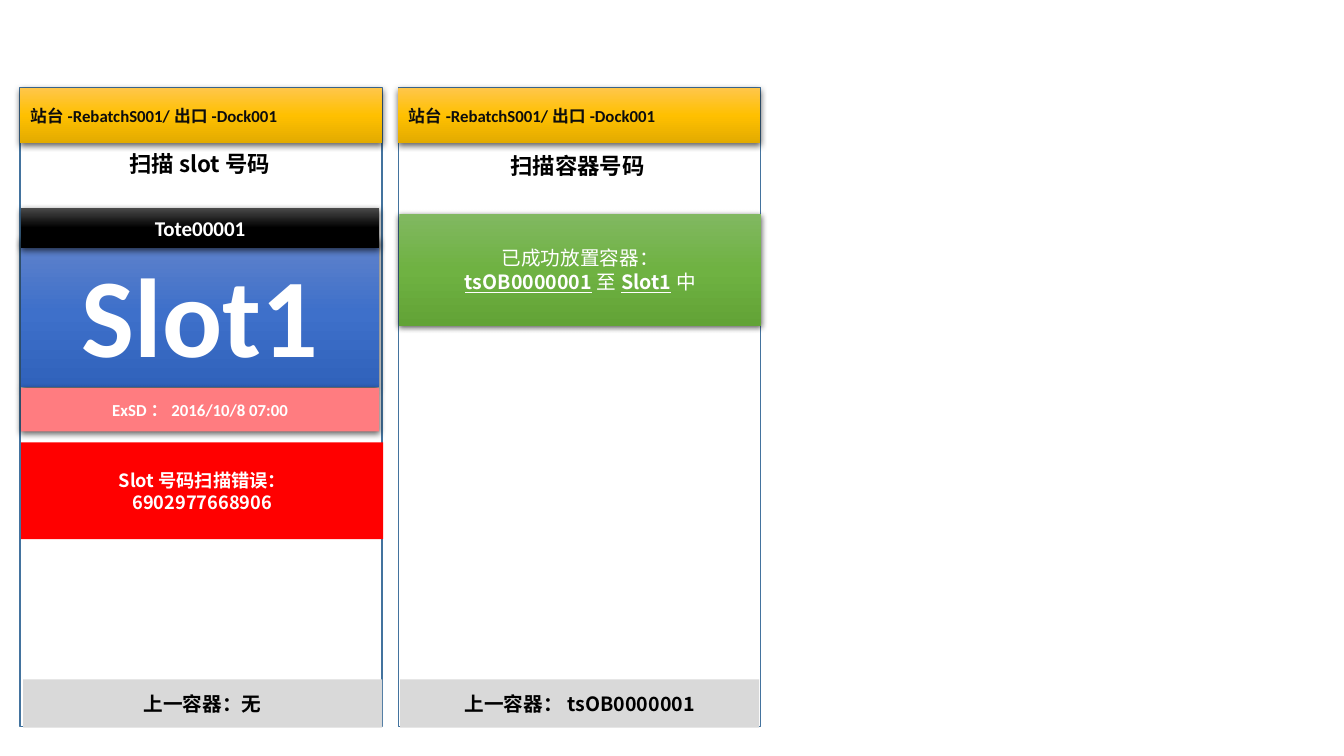
from pptx import Presentation
from pptx.dml.color import RGBColor
from pptx.enum.shapes import MSO_SHAPE as Shape
from pptx.enum.text import MSO_ANCHOR as Anchor, MSO_AUTO_SIZE as AutoSize, PP_ALIGN as Align
from pptx.oxml import parse_xml
from pptx.oxml.ns import nsdecls, qn
from pptx.util import Inches, Pt

LATIN, CJK = "Calibri", "Noto Sans CJK SC"
AMBER = ("FFC64B", "FFC000", "E3AB00")
GREEN = ("81B861", "6FB242", "62A336")
BLUE = ("6183CB", "3E70CA", "3062BB")
BLACK = ("4B4B4B", "000000", "000000")
SCREEN_WIDTH, SCREEN_TOP = 3.59, 0.87


def color(value):
    return RGBColor.from_string(value)


class Page:
    def __init__(self, deck):
        self.shapes = deck.slides.add_slide(deck.slide_layouts[6]).shapes

    def box(self, left, top, width, height, fill, line=None, shadow=False):
        """Draw a rectangle; fill is one colour, or three for a downward gradient."""
        box = self.shapes.add_shape(Shape.RECTANGLE, Inches(left), Inches(top),
                                    Inches(width), Inches(height))
        box.shadow.inherit = False
        if isinstance(fill, tuple):
            self.gradient(box, fill)
        else:
            box.fill.solid()
            box.fill.fore_color.rgb = color(fill)
        if line:
            box.line.color.rgb = color(line)
            box.line.width = Pt(1)
        else:
            box.line.fill.background()
        if shadow:
            self.shadow(box)
        return box

    def gradient(self, box, stops):
        marks = "".join(f'<a:gs pos="{index * 50000}"><a:srgbClr val="{stop}"/></a:gs>'
                        for index, stop in enumerate(stops))
        box.element.spPr.find(qn("a:prstGeom")).addnext(parse_xml(
            f'<a:gradFill {nsdecls("a")} rotWithShape="1"><a:gsLst>{marks}</a:gsLst>'
            '<a:lin ang="5400000" scaled="0"/></a:gradFill>'))

    def shadow(self, box):
        box.element.spPr.find(qn("a:effectLst")).append(parse_xml(
            f'<a:outerShdw {nsdecls("a")} blurRad="{Pt(4.5)}" dist="{Pt(1.5)}" dir="5400000" '
            'algn="ctr" rotWithShape="0"><a:srgbClr val="000000"><a:alpha val="63000"/>'
            '</a:srgbClr></a:outerShdw>'))

    def label(self, box, lines, size, font=CJK, ink="FFFFFF", bold=True, align=Align.CENTER):
        """Fill a box with lines; a line is a string, or a list of (text, emphasized) spans."""
        frame = box.text_frame
        frame.word_wrap = True
        for index, line in enumerate(lines):
            para = frame.add_paragraph() if index else frame.paragraphs[0]
            para.alignment = align
            para.font.size, para.font.bold, para.font.name = Pt(size), bold, font
            para.font.color.rgb = color(ink)
            for text, emphasized in [(line, False)] if isinstance(line, str) else line:
                span = para.add_run()
                span.text = text
                if emphasized:
                    span.font.bold = span.font.underline = True
        if font == CJK:
            for latin in list(box.element.iter(qn("a:latin"))):
                latin.addnext(parse_xml(f'<a:ea {nsdecls("a")} typeface="{font}"/>'))

    def band(self, left, top, width, height, fill, lines, size, shadow=True, **style):
        box = self.box(left, top, width, height, fill, shadow=shadow)
        box.text_frame.vertical_anchor = Anchor.MIDDLE
        self.label(box, lines, size, **style)

    def heading(self, left, top, text):
        box = self.shapes.add_textbox(Inches(left), Inches(top), Inches(3.56), Inches(0.37))
        box.text_frame.auto_size = AutoSize.SHAPE_TO_FIT_TEXT
        self.label(box, [text], 16, ink="000000")

    def screen(self, left, heading_top, heading, footer_left, footer):
        """Draw a handheld screen with its station bar, heading and footer."""
        self.box(left, SCREEN_TOP, SCREEN_WIDTH, 6.34, "FFFFFF", line="43739E")
        self.band(left, SCREEN_TOP, SCREEN_WIDTH, 0.55, AMBER, ["站台-RebatchS001/出口-Dock001"],
                  12, font=LATIN, ink="0D0D0D", align=Align.LEFT)
        self.heading(left, heading_top, heading)
        self.band(footer_left, 6.74, 3.56, 0.48, "D9D9D9", [footer], 14,
                  shadow=False, ink="000000")


def main():
    deck = Presentation()
    deck.slide_width, deck.slide_height = Inches(13.33), Inches(7.5)
    page = Page(deck)

    page.screen(3.95, 1.46, "扫描容器号码", 3.97, "上一容器：tsOB0000001")
    placed = [("tsOB0000001", True), ("至", False), ("Slot1", True), ("中", False)]
    page.band(3.96, 2.12, SCREEN_WIDTH, 1.11, GREEN, ["已成功放置容器：", placed], 14, bold=False)

    page.screen(0.2, 1.44, "扫描slot号码", 0.23, "上一容器：无")
    page.band(0.21, 4.39, SCREEN_WIDTH, 0.96, "FF0000",
              ["Slot号码扫描错误：", "6902977668906"], 13, shadow=False)
    for top, height, fill, text, size in [
        (2.36, 1.48, BLUE, "Slot1", 80),
        (2.06, 0.4, BLACK, "Tote00001", 15),
        (3.85, 0.43, "FF7C80", "ExSD：2016/10/8 07:00", 12),
    ]:
        page.band(0.21, top, 3.55, height, fill, [text], size, font=LATIN)

    deck.save("out.pptx")


if __name__ == "__main__":
    main()
